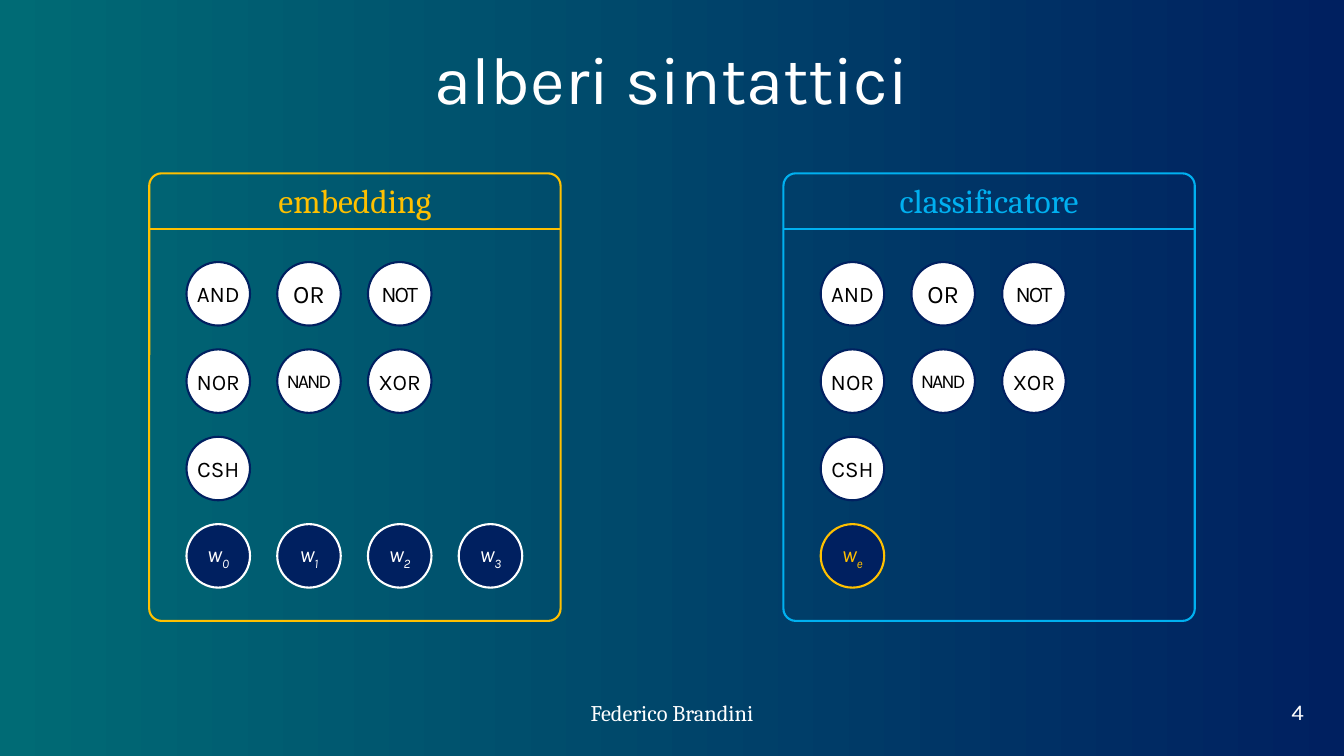
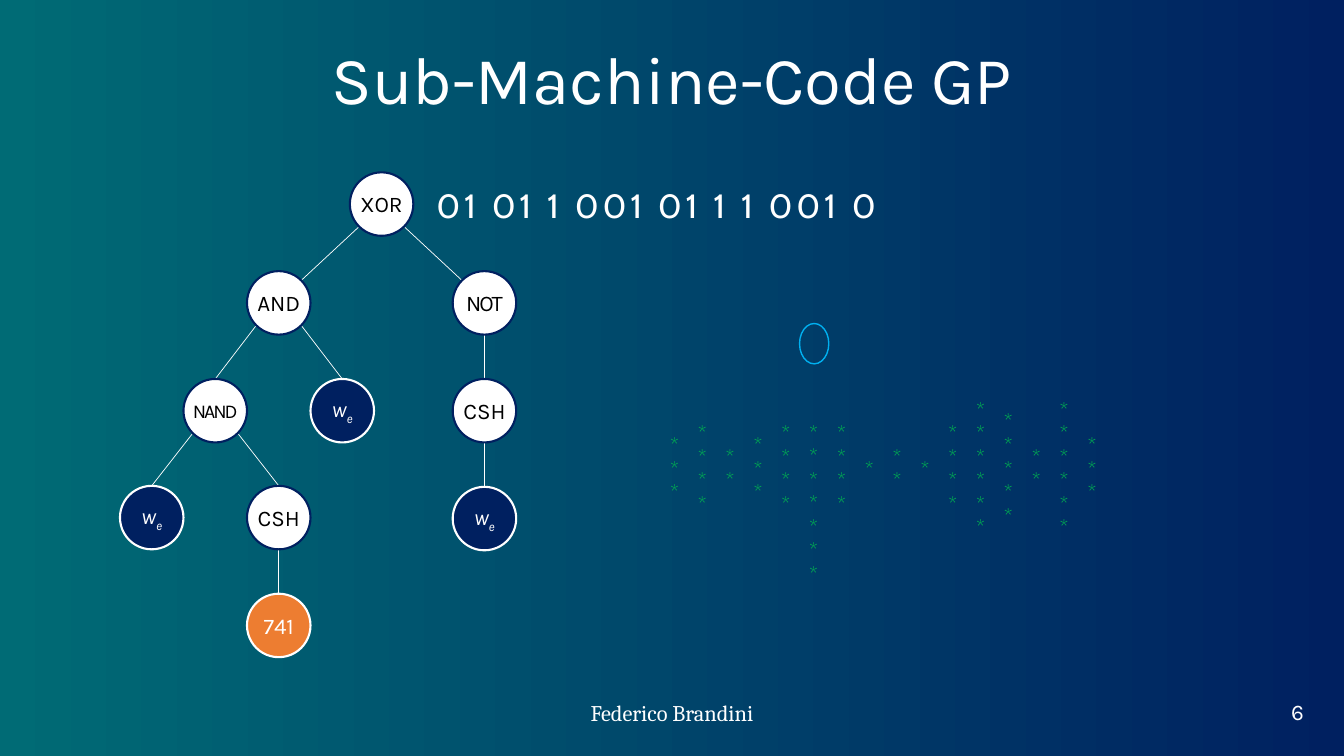
import dataclasses
import math
import typing

import lxml.etree
import pptx
import pptx.dml.color
import pptx.enum.shapes
import pptx.enum.text
import pptx.oxml.ns
import pptx.util

Inches = pptx.util.Inches
Pt = pptx.util.Pt
RGBColor = pptx.dml.color.RGBColor
Shape = pptx.enum.shapes.MSO_SHAPE
Align = pptx.enum.text.PP_ALIGN
Anchor = pptx.enum.text.MSO_ANCHOR

# Shared colours, fonts and sizes
TEAL = RGBColor(0x00, 0x6B, 0x75)
NAVY = RGBColor(0x00, 0x20, 0x60)
WHITE = RGBColor(0xFF, 0xFF, 0xFF)
BLACK = RGBColor(0x00, 0x00, 0x00)
GOLD = RGBColor(0xFF, 0xC0, 0x00)
SKY = RGBColor(0x00, 0xB0, 0xF0)
ORANGE = RGBColor(0xED, 0x7D, 0x31)
GREEN = RGBColor(0x00, 0xB0, 0x50)
SANS, SERIF, DIGITS = "Karla", "Cambria", "Cabin"
NODE_SIZE = 0.63
BIT_SIZE = 0.28


@dataclasses.dataclass(frozen=True)
class NodeStyle:
    fill: RGBColor
    line: RGBColor
    ink: RGBColor


GATE = NodeStyle(WHITE, NAVY, BLACK)
INPUT = NodeStyle(NAVY, WHITE, WHITE)
RESULT = NodeStyle(NAVY, GOLD, GOLD)
CONSTANT = NodeStyle(ORANGE, WHITE, WHITE)

# Gates whose lettering differs from 16 pt without tracking: size, tracking
GATE_LETTERING = {"OR": (18, 0), "NOT": (16, -150), "NAND": (14, -150)}


@dataclasses.dataclass(frozen=True)
class Node:
    """A circle; a label with an underscore has a subscript."""
    label: str
    left: float
    top: float
    style: NodeStyle = GATE

    def edge_point(self, side: int, vertical: int) -> tuple[float, float]:
        """Point on the rim: side -1, 0, 1; vertical -1 is up, 1 is down."""
        radius = NODE_SIZE / 2
        reach = radius * (math.sqrt(0.5) if side else 1)
        return self.left + radius + side * reach, self.top + radius + vertical * reach


@dataclasses.dataclass(frozen=True)
class Panel:
    title: str
    left: float
    color: RGBColor
    terminals: tuple[str, ...]
    terminal_style: NodeStyle


@dataclasses.dataclass(frozen=True)
class Branch:
    parent: str
    child: str
    side: int        # where it leaves the parent
    entry: int = 0   # where it meets the child


# Drawing helpers
def add_text(page: typing.Any, text: str, box: tuple[float, float, float, float],
             font: str, size: float, color: RGBColor,
             align: typing.Any = Align.CENTER, anchor: typing.Any = Anchor.MIDDLE) -> typing.Any:
    frame = page.shapes.add_textbox(*map(Inches, box)).text_frame
    frame.word_wrap = True
    frame.vertical_anchor = anchor
    para = frame.paragraphs[0]
    para.text = text
    para.alignment = align
    set_font(para, font, size, color)
    return frame


def set_font(para: typing.Any, font: str, size: float, color: RGBColor) -> None:
    para.font.name = font
    para.font.size = Pt(size)
    para.font.color.rgb = color


def add_outline(page: typing.Any, kind: typing.Any, box: tuple[float, float, float, float],
                color: RGBColor, width: float) -> typing.Any:
    shape = page.shapes.add_shape(kind, *map(Inches, box))
    shape.shadow.inherit = False
    shape.fill.background()
    shape.line.color.rgb = color
    shape.line.width = Pt(width)
    return shape


def add_line(page: typing.Any, start: tuple[float, float], end: tuple[float, float],
             color: RGBColor, width: float) -> None:
    line = page.shapes.add_connector(pptx.enum.shapes.MSO_CONNECTOR.STRAIGHT,
                                     *map(Inches, start + end))
    line.line.color.rgb = color
    line.line.width = Pt(width)
    lxml.etree.SubElement(line._element.spPr, pptx.oxml.ns.qn("a:effectLst"))


def add_node(page: typing.Any, node: Node) -> None:
    circle = add_outline(page, Shape.OVAL, (node.left, node.top, NODE_SIZE, NODE_SIZE),
                         node.style.line, 1.5)
    circle.fill.solid()
    circle.fill.fore_color.rgb = node.style.fill
    frame = circle.text_frame
    frame.margin_left = frame.margin_right = frame.margin_top = frame.margin_bottom = 0
    frame.word_wrap = False
    para = frame.paragraphs[0]
    para.alignment = Align.CENTER
    size, tracking = GATE_LETTERING.get(node.label, (16, 0))
    set_font(para, SANS, size, node.style.ink)
    base, _, subscript = node.label.partition("_")
    span = para.add_run()
    span.text = base
    if tracking:
        span.font._element.set("spc", str(tracking))
    if subscript:
        para.font.italic = True
        span = para.add_run()
        span.text = subscript
        span.font._element.set("baseline", "-25000")


def add_panel(page: typing.Any, panel: Panel) -> None:
    top, width, header = 1.72, 4.08, 0.55
    add_text(page, panel.title, (panel.left + 0.46, 1.74, 3.16, 0.5),
             SERIF, 24, panel.color, anchor=Anchor.TOP)
    frame = add_outline(page, Shape.ROUNDED_RECTANGLE, (panel.left, top, width, 4.44),
                        panel.color, 1.5)
    frame.adjustments[0] = 0.03
    add_line(page, (panel.left, top + header), (panel.left + width, top + header),
             panel.color, 1.5)
    rows = (("AND", "OR", "NOT"), ("NOR", "NAND", "XOR"), ("CSH",), panel.terminals)
    for row, labels in enumerate(rows):
        style = panel.terminal_style if labels is panel.terminals else GATE
        for column, label in enumerate(labels):
            add_node(page, Node(label, panel.left + 0.37 + 0.9 * column,
                                2.6 + 2.6 / 3 * row, style))


def add_page(deck: typing.Any, title: str, number: int) -> typing.Any:
    """Blank page with the shared title, author and page number."""
    page = deck.slides.add_slide(deck.slide_layouts[6])
    heading = add_text(page, title, (1.05, 0.23, 11.23, 1.18), SANS, 48, WHITE)
    heading.paragraphs[0].line_spacing = 0.9
    counter = add_text(page, str(number), (12.18, 6.81, 0.85, 0.53), SANS, 16, WHITE, Align.RIGHT)
    counter.paragraphs[0].line_spacing = 0.9
    add_text(page, "Federico Brandini", (3.33, 6.89, 6.67, 0.37), SERIF, 16, WHITE,
             anchor=Anchor.TOP)
    return page


# Content
PANELS = (
    Panel("embedding", 1.48, GOLD, ("w_0", "w_1", "w_2", "w_3"), INPUT),
    Panel("classificatore", 7.77, SKY, ("w_e",), RESULT),
)

TREE = {
    "root": Node("XOR", 3.47, 1.71),
    "and": Node("AND", 2.45, 2.69),
    "not": Node("NOT", 4.49, 2.69),
    "nand": Node("NAND", 1.82, 3.76),
    "and input": Node("w_e", 3.08, 3.76, INPUT),
    "right shift": Node("CSH", 4.49, 3.76),
    "nand input": Node("w_e", 1.19, 4.82, INPUT),
    "left shift": Node("CSH", 2.45, 4.82),
    "right input": Node("w_e", 4.49, 4.83, INPUT),
    "constant": Node("741", 2.45, 5.89, CONSTANT),
}
BRANCHES = (
    Branch("root", "and", -1, 1),
    Branch("root", "not", 1, -1),
    Branch("and", "nand", -1),
    Branch("and", "and input", 1),
    Branch("not", "right shift", 0),
    Branch("nand", "nand input", -1),
    Branch("nand", "left shift", 1),
    Branch("right shift", "right input", 0),
    Branch("left shift", "constant", 0),
)
BITS = "0101100101110010"
STAR_COUNTS = (3, 4, 2, 3, 4, 7, 4, 1, 2, 1, 4, 6, 5, 2, 6, 3)


def build_components(deck: typing.Any) -> None:
    page = add_page(deck, "alberi sintattici", 4)
    for panel in PANELS:
        add_panel(page, panel)


def build_tree(deck: typing.Any) -> None:
    page = add_page(deck, "Sub-Machine-Code GP", 6)
    for branch in BRANCHES:
        add_line(page, TREE[branch.parent].edge_point(branch.side, 1),
                 TREE[branch.child].edge_point(branch.entry, -1), WHITE, 0.5)
    for node in TREE.values():
        add_node(page, node)

    # Output bits beside the root
    for index, bit in enumerate(BITS):
        add_text(page, bit, (4.23 + 4.12 / 15 * index, 1.89, BIT_SIZE, BIT_SIZE),
                 DIGITS, 24, WHITE)

    # Columns of stacked stars
    for index, count in enumerate(STAR_COUNTS):
        height = 2.96 if count == max(STAR_COUNTS) else 2.27
        frame = add_text(page, "*" * count,
                         (6.55 + 4.14 / 15 * index, 3.51, BIT_SIZE, height),
                         DIGITS, 14, GREEN, align=None)
        frame._txBody.bodyPr.set("vert", "wordArtVert")
    add_outline(page, Shape.OVAL, (7.93, 3.21, 0.29, 0.4), SKY, 1)


def main() -> None:
    deck = pptx.Presentation()
    deck.slide_width, deck.slide_height = Inches(13.33), Inches(7.5)
    backdrop = deck.slide_master.background.fill
    backdrop.gradient()
    backdrop.gradient_angle = 0
    for stop, color in zip(backdrop.gradient_stops, (TEAL, NAVY)):
        stop.color.rgb = color
    build_components(deck)
    build_tree(deck)
    deck.save("out.pptx")


if __name__ == "__main__":
    main()
